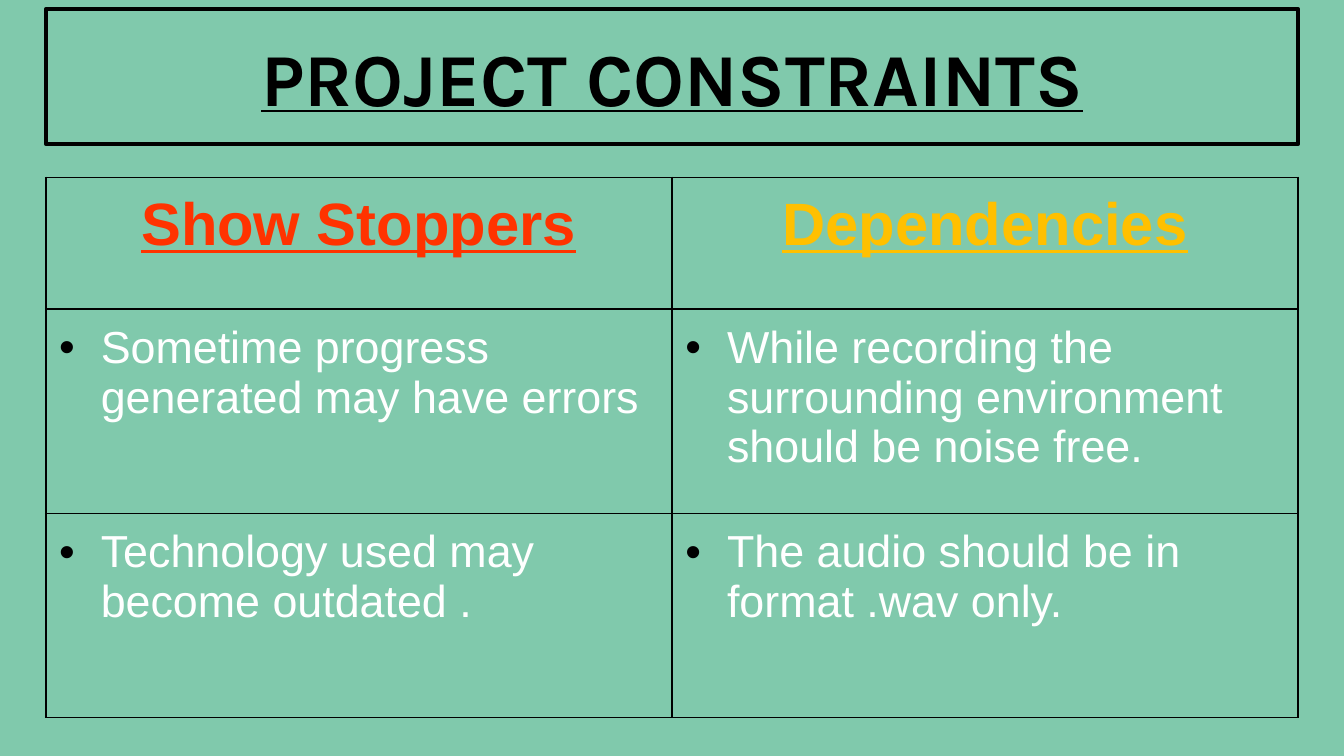
from lxml import etree
from pptx import Presentation
from pptx.dml.color import RGBColor
from pptx.enum.shapes import MSO_SHAPE
from pptx.enum.text import MSO_ANCHOR, PP_ALIGN
from pptx.oxml import parse_xml
from pptx.oxml.ns import nsdecls, qn
from pptx.util import Inches, Pt

RECTANGLE = MSO_SHAPE.RECTANGLE
MIDDLE, TOP = MSO_ANCHOR.MIDDLE, MSO_ANCHOR.TOP
CENTER, LEFT = PP_ALIGN.CENTER, PP_ALIGN.LEFT

COLORS = {
    "background": "80C9AC",
    "ink": "000000",
    "stoppers": "FF3300",
    "dependencies": "FFC000",
    "body": "FFFFFF",
}
ROWS = [
    ["Show Stoppers", "Dependencies"],
    ["Sometime progress generated may have errors",
     "While recording the surrounding environment should be noise free."],
    ["Technology used may become outdated .",
     "The audio should be in format .wav only."],
]
HEADING_COLORS = [COLORS["stoppers"], COLORS["dependencies"]]
ROW_HEIGHTS = [0.98, 1.52, 1.52]
PAGE_WIDTH = 10
PAGE_HEIGHT = PAGE_WIDTH * 9 / 16
MARGIN, PADDING, INDENT = 0.34, Inches(0.1), Inches(0.31)
CONTENT_WIDTH = PAGE_WIDTH - 2 * MARGIN


def write(para, text, font, size, color, align, heading):
    para.text = text
    para.alignment = align
    for span in para.runs:
        span.font.name = font
        span.font.size = Pt(size)
        span.font.bold = heading
        span.font.underline = heading
        span.font.color.rgb = RGBColor.from_string(color)


def pad(holder):
    holder.margin_left = holder.margin_right = PADDING
    holder.margin_top = holder.margin_bottom = PADDING


deck = Presentation()
deck.slide_width, deck.slide_height = Inches(PAGE_WIDTH), Inches(PAGE_HEIGHT)
page = deck.slides.add_slide(deck.slide_layouts[6])
page.background.fill.solid()
page.background.fill.fore_color.rgb = RGBColor.from_string(COLORS["background"])

title_box = page.shapes.add_shape(
    RECTANGLE, Inches(MARGIN), Inches(0.07), Inches(CONTENT_WIDTH), Inches(1))
title_box.shadow.inherit = False
title_box.fill.background()
title_box.line.color.rgb = RGBColor.from_string(COLORS["ink"])
title_box.line.width = Pt(2.25)
title_frame = title_box.text_frame
title_frame.word_wrap = True
title_frame.vertical_anchor = MIDDLE
pad(title_frame)
write(title_frame.paragraphs[0], "PROJECT CONSTRAINTS", "Karla", 40,
      COLORS["ink"], CENTER, True)

table = page.shapes.add_table(
    len(ROWS), len(ROWS[0]), Inches(MARGIN), Inches(1.32),
    Inches(CONTENT_WIDTH), Inches(sum(ROW_HEIGHTS))).table
table.first_row = False
table.horz_banding = False
for row, height in zip(table.rows, ROW_HEIGHTS):
    row.height = Inches(height)

for row_index, texts in enumerate(ROWS):
    for column_index, text in enumerate(texts):
        cell = table.cell(row_index, column_index)
        cell.fill.background()
        cell.vertical_anchor = TOP
        pad(cell)
        properties = cell._tc.get_or_add_tcPr()
        for position, side in enumerate(["lnL", "lnR", "lnT", "lnB"]):
            properties.insert(position, parse_xml(
                f'<a:{side} {nsdecls("a")} w="{Pt(1)}"><a:solidFill>'
                f'<a:srgbClr val="{COLORS["ink"]}"/></a:solidFill></a:{side}>'))
        para = cell.text_frame.paragraphs[0]
        if row_index == 0:
            write(para, text, "Arial", 32, HEADING_COLORS[column_index], CENTER, True)
            continue
        write(para, text, "Arial", 24, COLORS["body"], LEFT, False)
        bullet = para._p.get_or_add_pPr()
        bullet.set("marL", str(INDENT))
        bullet.set("indent", str(-INDENT))
        bullet_color = etree.SubElement(bullet, qn("a:buClr"))
        etree.SubElement(bullet_color, qn("a:srgbClr"), val=COLORS["ink"])
        etree.SubElement(bullet, qn("a:buFont"), typeface="Arial")
        etree.SubElement(bullet, qn("a:buChar"), char="•")

deck.save("out.pptx")
